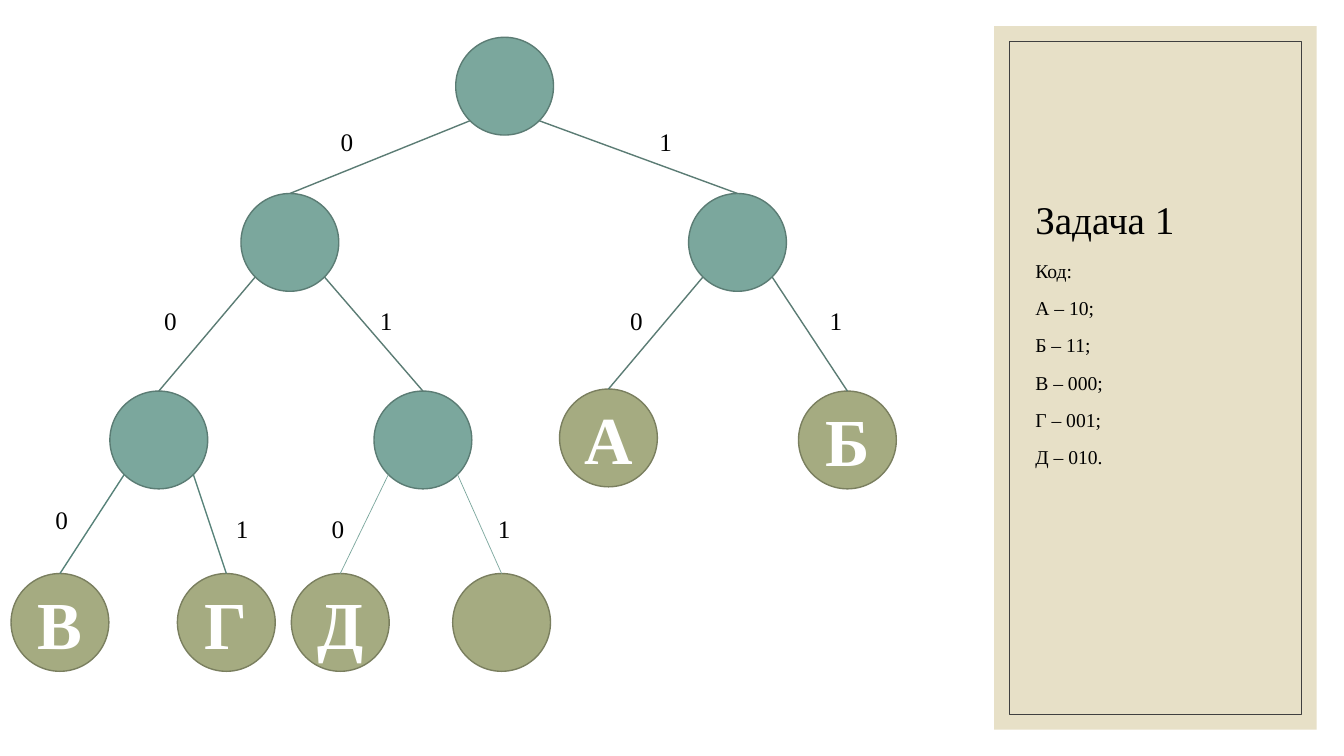
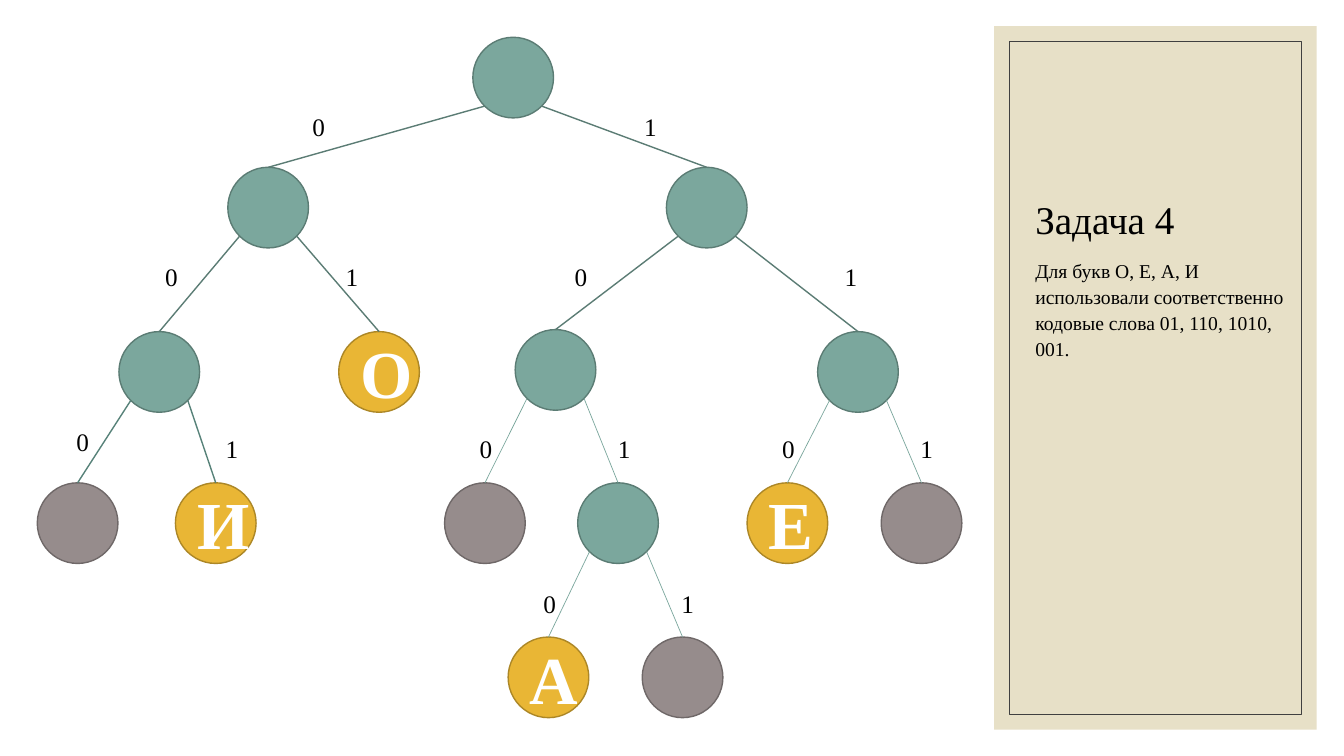
"""Build two slides of binary code trees, each with a task panel on the right."""
from math import sqrt

from pptx import Presentation
from pptx.dml.color import RGBColor
from pptx.enum.shapes import MSO_CONNECTOR, MSO_SHAPE
from pptx.enum.text import MSO_ANCHOR, PP_ALIGN
from pptx.oxml.xmlchemy import OxmlElement
from pptx.util import Inches, Pt

OVAL, RECTANGLE = MSO_SHAPE.OVAL, MSO_SHAPE.RECTANGLE
STRAIGHT = MSO_CONNECTOR.STRAIGHT
BOTTOM, MIDDLE, TOP = MSO_ANCHOR.BOTTOM, MSO_ANCHOR.MIDDLE, MSO_ANCHOR.TOP
LEFT, CENTER = PP_ALIGN.LEFT, PP_ALIGN.CENTER
FONT = "Times New Roman"
BLACK, WHITE = "000000", "FFFFFF"
PANEL_FILL, PANEL_LINE = "E7E0C7", "404040"
TEAL = ("7BA79D", "5B7C74")
OLIVE = ("A5AB81", "7A7F5F")
GOLD = ("E9B635", "AC8727")
GREY = ("968C8C", "6F6868")
EDGE, DEEP_EDGE, THIN_EDGE = ("5B7C74", 1), ("578279", 1), ("7BA79D", 0.5)

# Each node: code, left, top, colours, letter, left and top of its edge label
TASKS = [
    {
        "title": "Задача 1",
        "body": ["Код:", "А – 10;", "Б – 11;", "В – 000;", "Г – 001;", "Д – 010."],
        "diameter": 0.97,
        "label_size": (0.29, 0.32),
        "nodes": [
            ("", 4.52, 0.37, TEAL, "", None, None),
            ("0", 2.39, 1.92, TEAL, "", 3.28, 1.2),
            ("1", 6.83, 1.92, TEAL, "", 6.44, 1.2),
            ("00", 1.09, 3.88, TEAL, "", 1.53, 2.98),
            ("01", 3.71, 3.88, TEAL, "", 3.67, 2.98),
            ("10", 5.55, 3.86, OLIVE, "А", 6.15, 2.98),
            ("11", 7.92, 3.88, OLIVE, "Б", 8.13, 2.98),
            ("000", 0.11, 5.69, OLIVE, "В", 0.45, 4.95),
            ("001", 1.76, 5.69, OLIVE, "Г", 2.24, 5.04),
            ("010", 2.89, 5.69, OLIVE, "Д", 3.19, 5.04),
            ("011", 4.49, 5.69, OLIVE, "", 4.84, 5.04),
        ],
    },
    {
        "title": "Задача 4",
        "body": ["Для букв О, Е, А, И использовали соответственно "
                 "кодовые слова 01, 110, 1010, 001."],
        "diameter": 0.8,
        "label_size": (0.24, 0.26),
        "nodes": [
            ("", 4.69, 0.37, TEAL, "", None, None),
            ("0", 2.26, 1.66, TEAL, "", 3, 1.06),
            ("1", 6.61, 1.66, TEAL, "", 6.29, 1.06),
            ("00", 1.18, 3.29, TEAL, "", 1.54, 2.54),
            ("01", 3.36, 3.29, GOLD, "О", 3.33, 2.54),
            ("10", 5.11, 3.27, TEAL, "", 5.6, 2.54),
            ("11", 8.11, 3.29, TEAL, "", 8.28, 2.54),
            ("000", 0.37, 4.79, GREY, "", 0.66, 4.18),
            ("001", 1.74, 4.79, GOLD, "И", 2.14, 4.25),
            ("100", 4.41, 4.79, GREY, "", 4.66, 4.25),
            ("101", 5.73, 4.79, TEAL, "", 6.03, 4.25),
            ("110", 7.41, 4.79, GOLD, "Е", 7.66, 4.25),
            ("111", 8.74, 4.79, GREY, "", 9.03, 4.25),
            ("1010", 5.04, 6.32, GOLD, "А", 5.29, 5.79),
            ("1011", 6.37, 6.32, GREY, "", 6.66, 5.79),
        ],
    },
]


def color(value):
    return RGBColor.from_string(value)


def write(box, lines, size, ink=BLACK, bold=False, align=LEFT, anchor=TOP,
          spacing=1.0, before=0):
    frame = box.text_frame
    frame.word_wrap = True
    frame.vertical_anchor = anchor
    frame.text = "\n".join(lines)
    for para in frame.paragraphs:
        para.alignment = align
        para.line_spacing = spacing
        para.space_before = Pt(before)
        para.font.name = FONT
        para.font.size = Pt(size)
        para.font.bold = bold
        para.font.color.rgb = color(ink)


deck = Presentation()
deck.slide_width, deck.slide_height = Inches(13.33), Inches(7.5)

for task in TASKS:
    page = deck.slides.add_slide(deck.slide_layouts[6])
    shapes = page.shapes

    panel = shapes.add_shape(RECTANGLE, Inches(9.86), Inches(0.26), Inches(3.2), Inches(6.98))
    panel.shadow.inherit = False
    panel.fill.solid()
    panel.fill.fore_color.rgb = color(PANEL_FILL)
    panel.line.fill.background()
    border = shapes.add_shape(RECTANGLE, Inches(10.01), Inches(0.41), Inches(2.9), Inches(6.68))
    border.shadow.inherit = False
    border.fill.background()
    border.line.color.rgb = color(PANEL_LINE)
    border.line.width = Pt(0.5)

    title = shapes.add_textbox(Inches(10.17), Inches(0.66), Inches(2.66), Inches(1.8))
    write(title, [task["title"]], 28, anchor=BOTTOM, spacing=0.9)
    body = shapes.add_textbox(Inches(10.17), Inches(2.5), Inches(2.66), Inches(3.83))
    write(body, task["body"], 14, spacing=1.1, before=8)

    diameter = task["diameter"]
    radius = diameter / 2
    diagonal = radius / sqrt(2)
    label_width, label_height = task["label_size"]
    centers = {}
    for code, left, top, (fill, outline), letter, label_left, label_top in task["nodes"]:
        centers[code] = (left + radius, top + radius)
        node = shapes.add_shape(OVAL, Inches(left), Inches(top), Inches(diameter), Inches(diameter))
        node.shadow.inherit = False
        node.fill.solid()
        node.fill.fore_color.rgb = color(fill)
        node.line.color.rgb = color(outline)
        node.line.width = Pt(1)
        if letter:
            write(node, [letter], 48, WHITE, True, CENTER, MIDDLE)
        if not code:
            continue

        parent, bit = code[:-1], code[-1]
        parent_x, parent_y = centers[parent]
        side = -diagonal if bit == "0" else diagonal
        edge = shapes.add_connector(
            STRAIGHT, Inches(parent_x + side), Inches(parent_y + diagonal),
            Inches(left + radius), Inches(top))
        if len(code) < 3:
            edge_color, edge_width = EDGE
        elif parent == "00":
            edge_color, edge_width = DEEP_EDGE
        else:
            edge_color, edge_width = THIN_EDGE
        edge.line.color.rgb = color(edge_color)
        edge.line.width = Pt(edge_width)
        edge.element.spPr.append(OxmlElement("a:effectLst"))

        label = shapes.add_textbox(
            Inches(label_left), Inches(label_top), Inches(label_width), Inches(label_height))
        write(label, [bit], 18)

deck.save("out.pptx")
